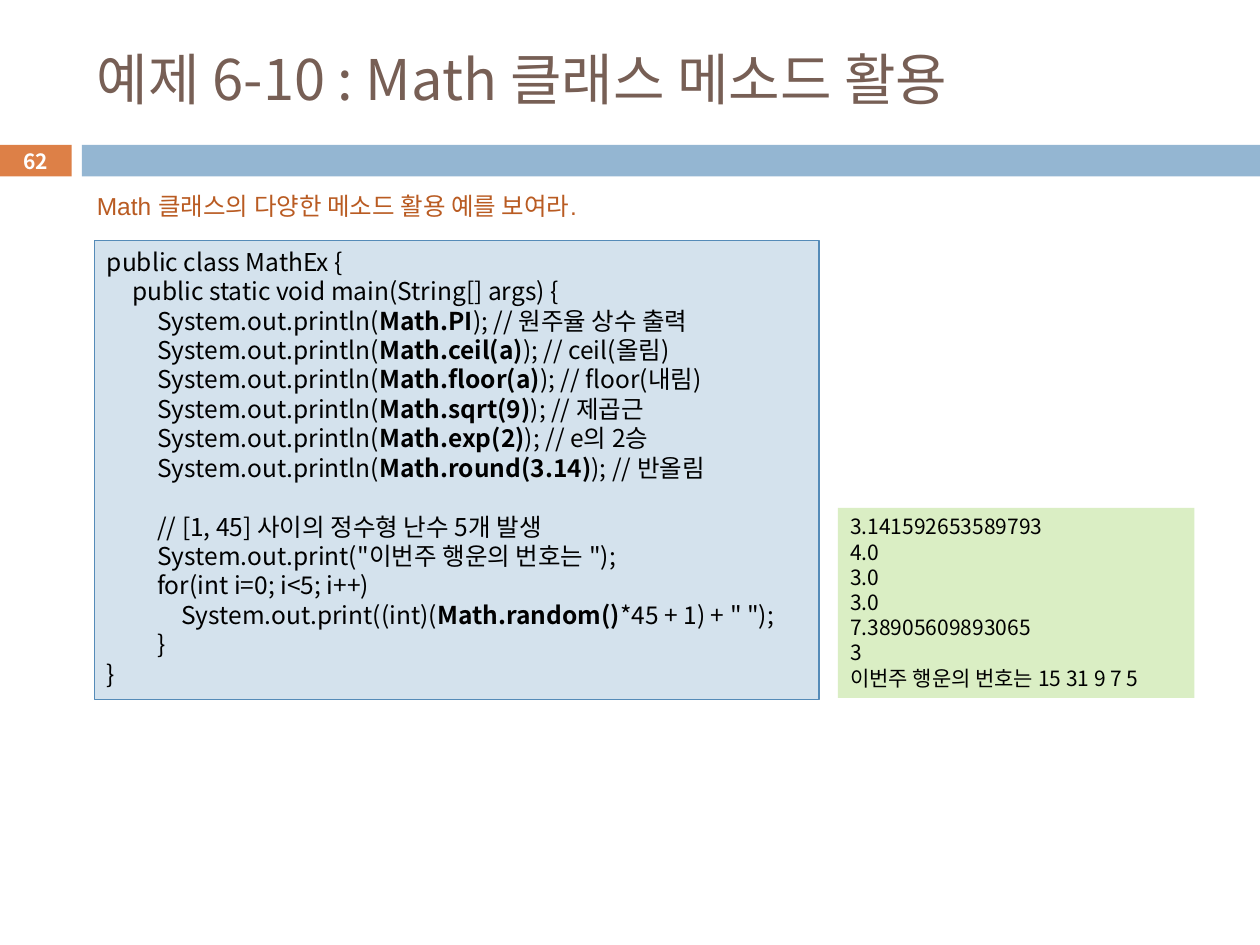
from dataclasses import dataclass

from lxml.etree import SubElement
from pptx import Presentation
from pptx.dml.color import RGBColor
from pptx.enum.shapes import MSO_SHAPE
from pptx.enum.text import MSO_ANCHOR, PP_ALIGN
from pptx.oxml.ns import qn
from pptx.shapes.base import BaseShape
from pptx.slide import Slide
from pptx.util import Inches, Pt

NOTO = "Noto Sans CJK KR"
TABS = [0.2, 0.4, 0.59]
MARK = "|"

CODE = """public class MathEx {
\tpublic static void main(String[] args) {
\t\tSystem.out.println(|Math.PI|); // 원주율 상수 출력
\t\tSystem.out.println(|Math.ceil(a)|); // ceil(올림)
\t\tSystem.out.println(|Math.floor(a)|); // floor(내림)
\t\tSystem.out.println(|Math.sqrt(9)|); // 제곱근
\t\tSystem.out.println(|Math.exp(2)|); // e의 2승
\t\tSystem.out.println(|Math.round(3.14)|); // 반올림

\t\t// [1, 45] 사이의 정수형 난수 5개 발생
\t\tSystem.out.print("이번주 행운의 번호는 ");
\t\tfor(int i=0; i<5; i++)
\t\t\tSystem.out.print((int)(|Math.random()|*45 + 1) + " ");
\t\t}
}"""

OUTPUT = """3.141592653589793
4.0
3.0
3.0
7.38905609893065
3
이번주 행운의 번호는 15 31 9 7 5"""


@dataclass
class Box:
    left: float
    top: float
    width: float
    height: float
    fill: str = ""
    line: str = ""


@dataclass
class Style:
    size: float
    color: str = "000000"
    font: str = NOTO
    bold: bool = False
    align: PP_ALIGN = PP_ALIGN.LEFT
    anchor: MSO_ANCHOR = MSO_ANCHOR.TOP
    wrap: bool = True


def paint(color: str) -> RGBColor:
    return RGBColor.from_string(color)


def draw_box(slide: Slide, box: Box) -> BaseShape:
    place = [Inches(n) for n in (box.left, box.top, box.width, box.height)]
    if not box.fill:
        return slide.shapes.add_textbox(*place)
    shape = slide.shapes.add_shape(MSO_SHAPE.RECTANGLE, *place)
    shape.shadow.inherit = False
    shape.fill.solid()
    shape.fill.fore_color.rgb = paint(box.fill)
    if box.line:
        shape.line.color.rgb = paint(box.line)
        shape.line.width = Pt(0.75)
    else:
        shape.line.fill.background()
    return shape


def write(shape: BaseShape, text: str, style: Style) -> None:
    frame = shape.text_frame
    frame.word_wrap = style.wrap
    frame.vertical_anchor = style.anchor
    frame.text = text.replace(MARK, "")
    for para, line in zip(frame.paragraphs, text.split("\n")):
        para.alignment = style.align
        para.line_spacing = Pt(style.size * 1.2)
        if "\t" in line:
            stops = SubElement(para._p.get_or_add_pPr(), qn("a:tabLst"))
            for stop in TABS:
                SubElement(stops, qn("a:tab"), pos=str(Inches(stop)), algn="l")
        if MARK in line:
            para.clear()
            for part in line.split(MARK):
                para.add_run().text = part
        for order, run in enumerate(para.runs):
            font = run.font
            font.size = Pt(style.size)
            font.name = style.font
            font.bold = style.bold or order % 2 == 1
            font.color.rgb = paint(style.color)
            SubElement(run._r.get_or_add_rPr(), qn("a:ea"), typeface=NOTO)
        if not line:
            end = SubElement(para._p, qn("a:endParaRPr"), sz=str(style.size * 100))
            SubElement(end, qn("a:latin"), typeface=style.font)


def main() -> None:
    deck = Presentation()
    deck.slide_width = Inches(10)
    deck.slide_height = Inches(7.5)
    slide = deck.slides.add_slide(deck.slide_layouts[6])

    draw_box(slide, Box(0.65, 1.15, 9.35, 0.25, "94B6D2"))
    middle = MSO_ANCHOR.MIDDLE
    items = [
        (Box(0, 1.15, 0.57, 0.25, "DD8047"), "62",
         Style(12, "FFFFFF", bold=True, align=PP_ALIGN.CENTER, anchor=middle)),
        (Box(0.67, 0.25, 8.92, 0.74), "예제 6-10 : Math 클래스 메소드 활용",
         Style(32, "775F55", anchor=middle)),
        (Box(0.75, 1.91, 5.75, 3.64, "D4E2ED", "558BB8"), CODE, Style(14)),
        (Box(0.67, 1.47, 4.46, 0.34), "Math 클래스의 다양한 메소드 활용 예를 보여라.",
         Style(14, "B95B22", "Arial", wrap=False)),
        (Box(6.65, 4.03, 2.83, 1.51, "DAEEC4"), OUTPUT, Style(12)),
    ]
    for box, text, style in items:
        write(draw_box(slide, box), text, style)
    deck.save("out.pptx")


if __name__ == "__main__":
    main()
